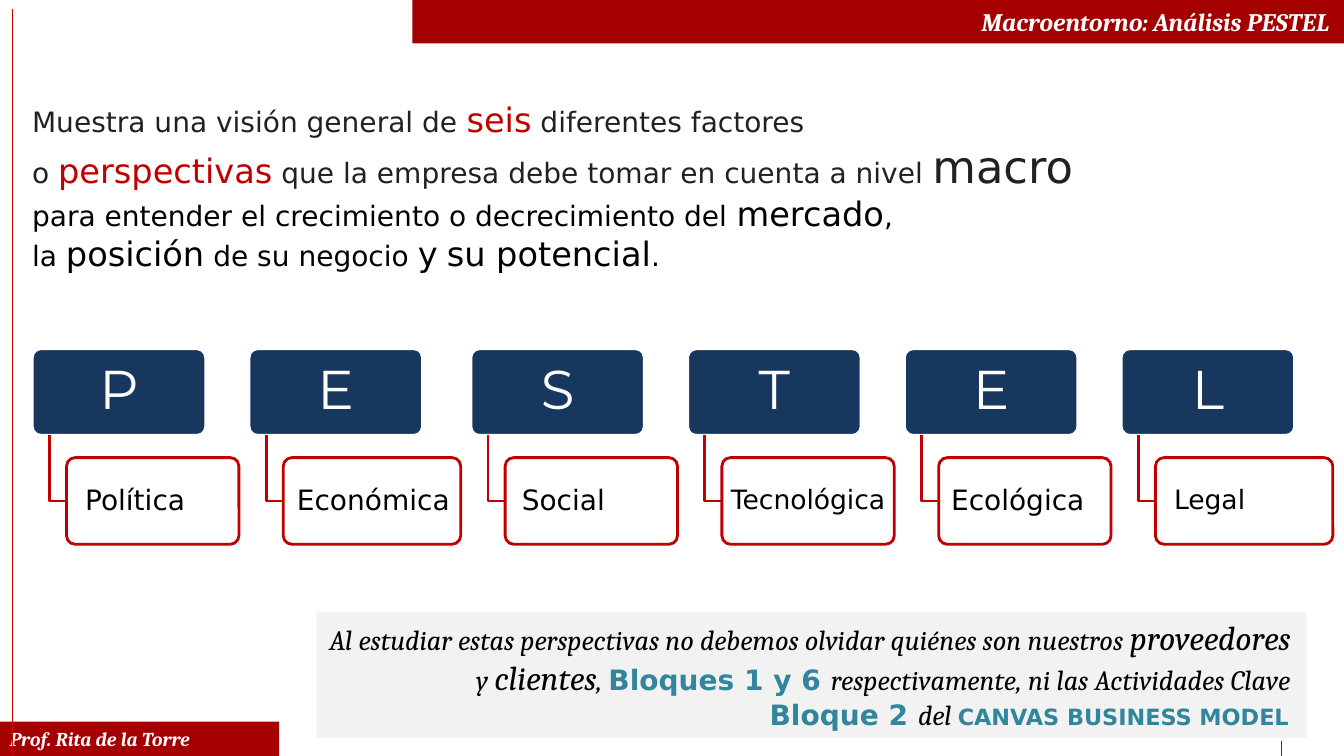
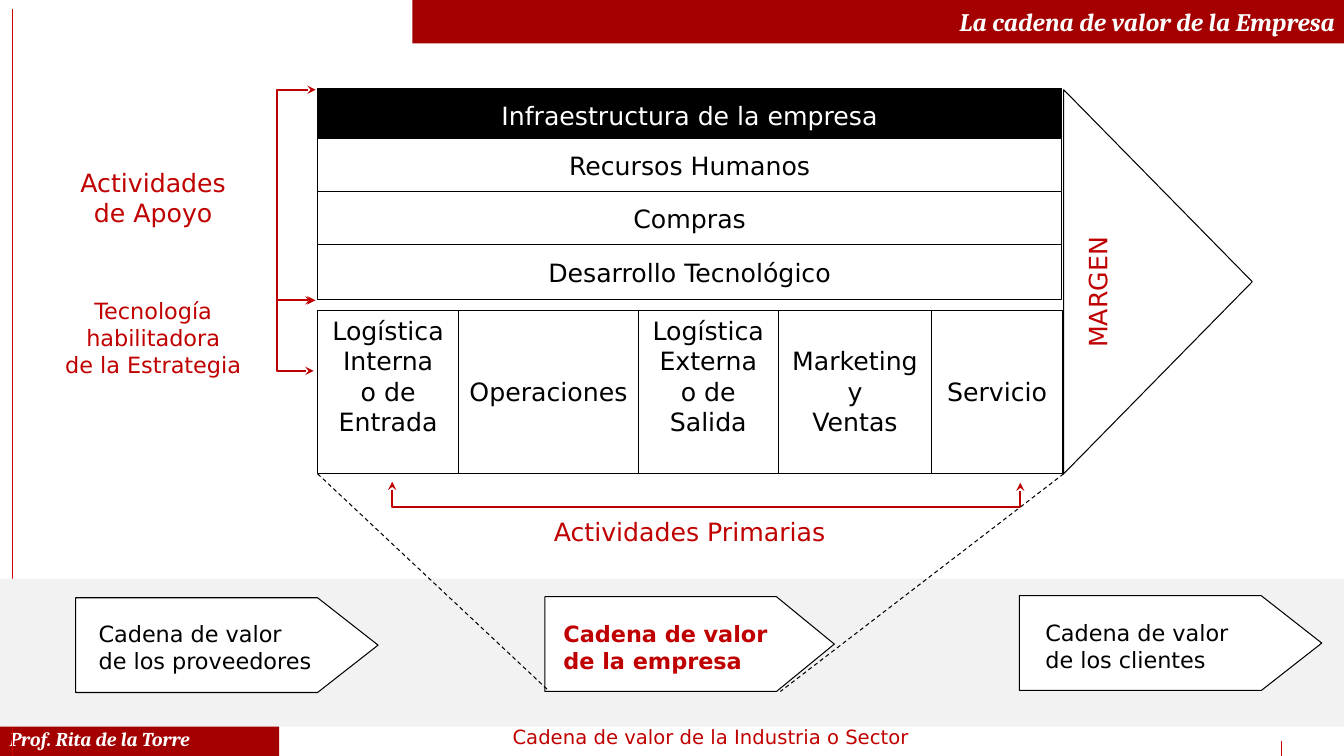
from dataclasses import dataclass, replace

from lxml.etree import SubElement
from pptx import Presentation
from pptx.dml.color import RGBColor
from pptx.enum.dml import MSO_LINE
from pptx.enum.shapes import MSO_CONNECTOR, MSO_SHAPE
from pptx.enum.text import MSO_ANCHOR, MSO_AUTO_SIZE, PP_ALIGN
from pptx.oxml.ns import qn
from pptx.util import Inches, Pt

BAND_RED = RGBColor(0xA4, 0x00, 0x00)
RULE_RED = RGBColor(0xCC, 0x00, 0x00)
RED = RGBColor(0xC0, 0x00, 0x00)
NAVY = RGBColor(0x17, 0x37, 0x5E)
TEAL = RGBColor(0x31, 0x85, 0x9C)
INK = RGBColor(0x20, 0x21, 0x22)
GREY = RGBColor(0xF2, 0xF2, 0xF2)
BLACK = RGBColor(0x00, 0x00, 0x00)
WHITE = RGBColor(0xFF, 0xFF, 0xFF)

LEFT, CENTER, RIGHT = PP_ALIGN.LEFT, PP_ALIGN.CENTER, PP_ALIGN.RIGHT
TOP, MIDDLE = MSO_ANCHOR.TOP, MSO_ANCHOR.MIDDLE
INSETS = (0.1, 0.05, 0.1, 0.05)


@dataclass(frozen=True)
class Look:
    size: float
    color: RGBColor = BLACK
    font: str = "DejaVu Sans"
    bold: bool = False
    italic: bool = False


TITLE = Look(18, WHITE, "Cambria", True, True)
FOOTER = replace(TITLE, size=14)
LETTER = Look(39, WHITE, "Montserrat")
BODY = Look(18)
BODY_RED = Look(18, RED)
CHAIN = Look(16)
NOTE = Look(20, BLACK, "Cambria", italic=True)
NOTE_BIG = replace(NOTE, size=24)
BLOCK = Look(20, TEAL, bold=True)


def write(shape, pieces, align=LEFT, anchor=TOP, insets=INSETS, wrap=True, spacing=None):
    """Fill a shape with one paragraph of (text, look) pieces; newlines break lines."""
    frame = shape.text_frame
    frame.word_wrap = wrap
    frame.auto_size = MSO_AUTO_SIZE.NONE
    frame.vertical_anchor = anchor
    (frame.margin_left, frame.margin_top,
     frame.margin_right, frame.margin_bottom) = map(Inches, insets)
    para = frame.paragraphs[0]
    para.alignment = align
    if spacing:
        para.line_spacing = spacing
    for text, look in pieces:
        for index, line in enumerate(text.split("\n")):
            if index:
                para.add_line_break()
            if line:
                span = para.add_run()
                span.text = line
                font = span.font
                font.name, font.size = look.font, Pt(look.size)
                font.bold, font.italic = look.bold, look.italic
                font.color.rgb = look.color


def paint(shape, fill=None, line=None, width=0.75):
    shape.shadow.inherit = False
    if fill is None:
        shape.fill.background()
    else:
        shape.fill.solid()
        shape.fill.fore_color.rgb = fill
    if line is None:
        shape.line.fill.background()
    else:
        shape.line.color.rgb = line
        shape.line.width = Pt(width)


def add_box(page, place, fill=None, line=None, width=0.75, kind=MSO_SHAPE.RECTANGLE, turn=0):
    box = page.shapes.add_shape(kind, *map(Inches, place))
    box.rotation = turn
    paint(box, fill, line, width)
    return box


def add_label(page, place, pieces, align=LEFT, wrap=True, turn=0):
    label = page.shapes.add_textbox(*map(Inches, place))
    label.rotation = turn
    write(label, pieces, align, wrap=wrap)


def add_line(page, start, end, color, width=0.75, dash=None):
    line = page.shapes.add_connector(
        MSO_CONNECTOR.STRAIGHT, *map(Inches, start + end))
    line.line.color.rgb = color
    line.line.width = Pt(width)
    if dash:
        line.line.dash_style = dash
    SubElement(line.element.spPr, qn("a:effectLst"))


def add_path(page, points, width, arrows=False):
    """Draw an open red path, with an arrowhead at each end if asked."""
    corners = [(Inches(x), Inches(y)) for x, y in points]
    builder = page.shapes.build_freeform(*corners[0])
    builder.add_line_segments(corners[1:], close=False)
    path = builder.convert_to_shape()
    paint(path, None, RED, width)
    if arrows:
        outline = path.element.spPr.find(qn("a:ln"))
        for end in ("a:headEnd", "a:tailEnd"):
            SubElement(outline, qn(end), type="stealth")


def add_page(deck, title):
    """Add a title-only page with the red title band, footer and margin rules."""
    page = deck.slides.add_slide(deck.slide_layouts[5])
    band = page.shapes.title
    band.left, band.top, band.width, band.height = map(Inches, (4.09, 0, 9.25, 0.43))
    band.fill.solid()
    band.fill.fore_color.rgb = BAND_RED
    write(band, [(title, TITLE)], RIGHT, MIDDLE)
    footer = add_box(page, (0, 7.16, 2.77, 0.34), BAND_RED)
    write(footer, [("Prof. Rita de la Torre", FOOTER)], anchor=MIDDLE)
    add_line(page, (12.71, 7.35), (12.71, 7.5), RULE_RED)
    add_line(page, (0.12, 0.09), (0.12, 7.5), RULE_RED, 0.5)
    return page


def add_factor(page, left, letter, name, size, width, indent, align):
    """Add a letter tile with its factor card hanging below it."""
    rounded = MSO_SHAPE.ROUNDED_RECTANGLE
    tile = add_box(page, (left, 3.46, 1.72, 0.86), NAVY, WHITE, 2, rounded)
    write(tile, [(letter, LETTER)], CENTER, MIDDLE, spacing=0.9)
    stem, card_left = left + 0.17, left + 0.34
    add_path(page, [(stem, 4.32), (stem, 4.97), (card_left, 4.97)], 2)
    card = add_box(page, (card_left, 4.54, width, 0.86), WHITE, RED, 2, rounded)
    write(card, [(name, Look(size))], align, MIDDLE,
          (indent, 0.05, 0.05, 0.05), spacing=0.9)
    for shape in (tile, card):
        shape.adjustments[0] = 0.1


def build_pestel(deck):
    page = add_page(deck, "Macroentorno: Análisis PESTEL ")
    factors = [
        ("P", "Política", 20, 1.71, 0.16, LEFT),
        ("E", "Económica", 20, 1.76, 0.11, LEFT),
        ("S", "Social", 20, 1.71, 0.14, LEFT),
        ("T", "Tecnológica", 19, 1.71, 0.05, CENTER),
        ("E", "Ecológica", 20, 1.71, 0.1, LEFT),
        ("L", "Legal", 19, 1.76, 0.16, LEFT),
    ]
    left = 0.32
    for letter, name, size, width, indent, align in factors:
        add_factor(page, left, letter, name, size, width, indent, align)
        left += 0.34 + width + 0.1

    ink, red = Look(20, INK), Look(24, RED)
    plain, big = Look(20), Look(24)
    add_label(page, (0.22, 0.93, 10.8, 1.85), [
        ("Muestra una visión general de ", ink), ("seis", red),
        (" diferentes factores\no ", ink), ("perspectivas", red),
        (" que la empresa debe tomar en cuenta a nivel ", ink),
        ("macro", Look(32, INK)),
        ("\npara entender el crecimiento o decrecimiento del ", plain),
        ("mercado", big), (",\nla ", plain), ("posición", big),
        (" de su negocio ", plain), ("y", big), (" ", plain),
        ("su potencial", big), (".", plain),
    ])
    note = add_box(page, (3.14, 6.07, 9.82, 1.25), GREY)
    write(note, [
        ("Al estudiar estas perspectivas no debemos olvidar quiénes son nuestros ", NOTE),
        ("proveedores", NOTE_BIG), (" \ny ", NOTE), ("clientes", NOTE_BIG), (", ", NOTE),
        ("Bloques 1 y 6 ", BLOCK),
        ("respectivamente, ni las Actividades Clave \n", NOTE),
        ("Bloque 2 ", BLOCK), ("del ", NOTE),
        ("CANVAS BUSINESS MODEL ", replace(BLOCK, size=16)),
    ], RIGHT)


def add_support_rows(page):
    names = ["Infraestructura de la empresa", "Recursos Humanos",
             "Compras", "Desarrollo Tecnológico"]
    tops = [0.88] + [1.37 + 0.53 * index for index in range(3)]
    for name, top in zip(names, tops):
        fill, color = (BLACK, WHITE) if top == tops[0] else (WHITE, BLACK)
        row = add_box(page, (3.15, top, 7.38, 0.54), fill, BLACK)
        write(row, [(name, Look(18, color))], CENTER, insets=(0.1, 0.12, 0.1, 0.12))


def add_primary_cells(page):
    cells = [
        ("Logística\nInterna\no de\nEntrada", 1.4, 0),
        ("Operaciones", 1.78, 2),
        ("Logística\nExterna\no de\nSalida", 1.39, 0),
        ("Marketing\ny\nVentas", 1.52, 1),
        ("Servicio", 1.3, 2),
    ]
    left = 3.15
    for name, width, lines_down in cells:
        cell = add_box(page, (left, 3.08, width, 1.62), WHITE, BLACK)
        write(cell, [(name, BODY)], CENTER,
              insets=(0.05, 0.05 + 0.3 * lines_down, 0.05, 0.05))
        left += width


def add_chain(page, center, middle, length, text_place, text, look):
    """Add a pointed block lying on its side, and its caption."""
    place = (center - 0.47, middle - length / 2, 0.94, length)
    add_box(page, place, WHITE, BLACK,
            kind=MSO_SHAPE.FLOWCHART_OFFPAGE_CONNECTOR, turn=270)
    add_label(page, text_place, [(text, look)], wrap=False)


def build_value_chain(deck):
    page = add_page(deck, "La cadena de valor de la Empresa")
    add_box(page, (0, 5.74, 13.33, 1.47), GREY)
    add_support_rows(page)
    add_primary_cells(page)
    add_label(page, (10.19, 2.7, 1.39, 0.4), [("MARGEN", BODY_RED)], CENTER, turn=270)
    add_box(page, (9.58, 1.86, 3.81, 1.87), None, BLACK,
            kind=MSO_SHAPE.ISOSCELES_TRIANGLE, turn=90)

    add_label(page, (0.7, 1.61, 1.64, 0.71),
              [("Actividades\nde Apoyo", BODY_RED)], CENTER, False)
    add_label(page, (0.54, 2.9, 1.96, 0.91),
              [("Tecnología\nhabilitadora\nde la Estrategia", Look(16, RED))], CENTER, False)
    add_label(page, (4.79, 5.07, 4.1, 0.4), [("Actividades Primarias", BODY_RED)], CENTER)
    for top, bottom in ((0.89, 2.98), (2.98, 3.68)):
        add_path(page, [(3.13, top), (2.75, top), (2.75, bottom), (3.11, bottom)],
                 1.25, arrows=True)
    add_path(page, [(3.89, 4.78), (3.89, 5.03), (10.12, 5.03), (10.12, 4.79)],
             1.25, arrows=True)

    chains = [
        (2.25, 6.4, 3, (0.88, 6.1, 2.34, 0.64),
         "Cadena de valor\nde los proveedores", CHAIN),
        (6.84, 6.39, 2.87, (5.49, 6.1, 2.31, 0.64),
         "Cadena de valor\nde la empresa", Look(16, RED, bold=True)),
        (11.61, 6.38, 3, (10.27, 6.09, 2.11, 0.64),
         "Cadena de valor\nde los clientes", CHAIN),
    ]
    for chain in chains:
        add_chain(page, *chain)
    add_line(page, (3.15, 4.7), (5.45, 6.86), BLACK, dash=MSO_LINE.DASH)
    add_line(page, (10.55, 4.7), (7.74, 6.86), BLACK, dash=MSO_LINE.DASH)
    add_label(page, (4.95, 7.14, 4.2, 0.34),
              [("Cadena de valor de la Industria o Sector", Look(14, RED))], CENTER, False)


def main():
    deck = Presentation()
    deck.slide_width, deck.slide_height = Inches(13.33), Inches(7.5)
    build_pestel(deck)
    build_value_chain(deck)
    deck.save("out.pptx")


if __name__ == "__main__":
    main()
